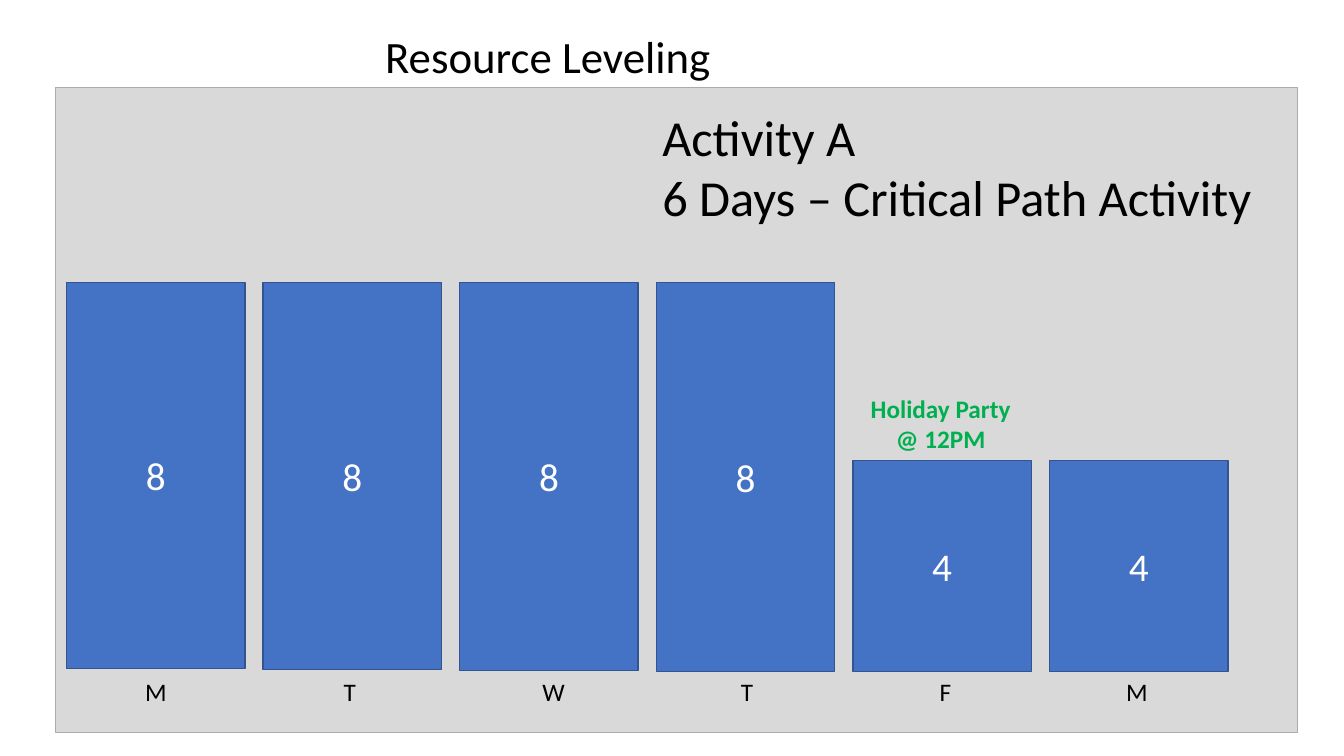
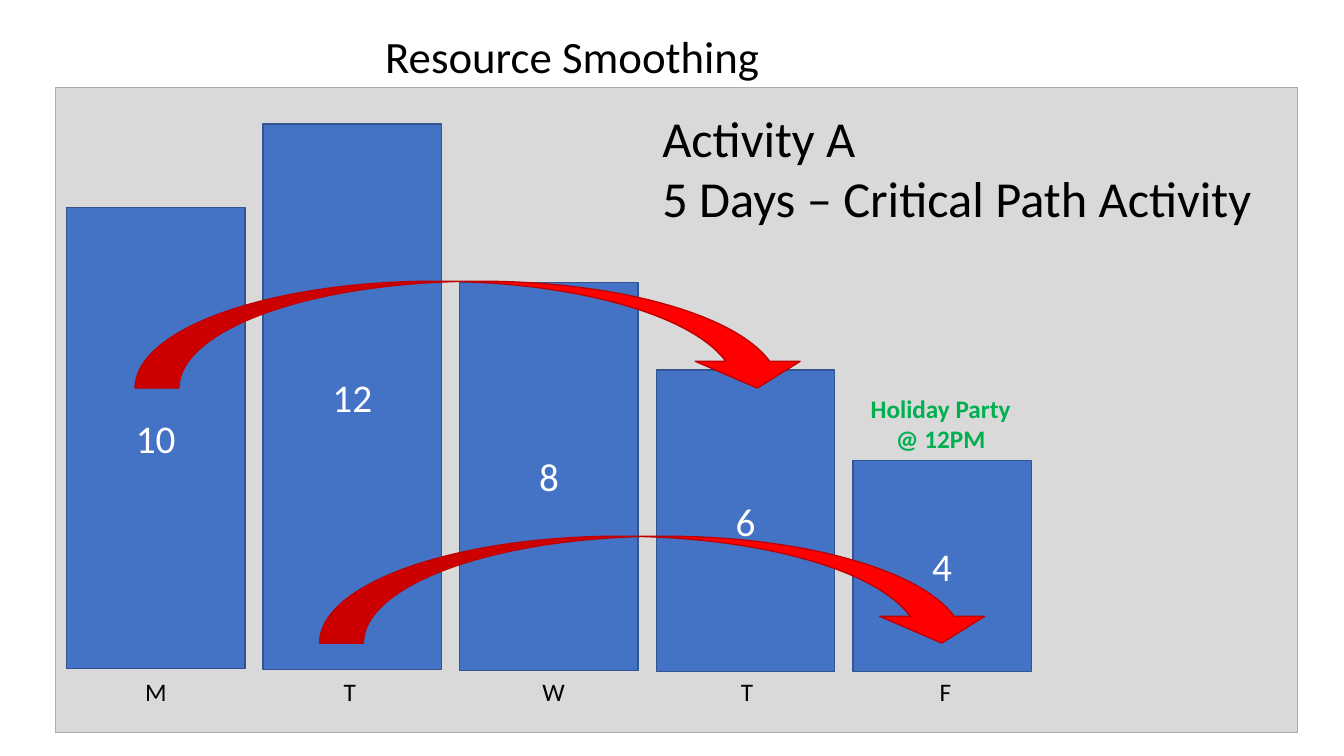
from typing import NamedTuple

from pptx import Presentation
from pptx.dml.color import RGBColor
from pptx.enum.shapes import MSO_SHAPE
from pptx.enum.text import MSO_ANCHOR, MSO_AUTO_SIZE, PP_ALIGN
from pptx.util import Inches, Pt

FONT = "Calibri"
BLACK, WHITE, GREEN = "000000", "FFFFFF", "00B050"
PANEL_FILL, PANEL_LINE = "D9D9D9", "AFABAB"
BAR_FILL, BAR_LINE = "4472C4", "325491"
ARROW_FILL, ARROW_LINE = "FF0000", "C00000"
BAR_TOPS = {12: 0.36, 10: 1.19, 8: 1.93, 6: 2.8, 4: 3.7}


class Box(NamedTuple):
    left: float
    top: float
    width: float
    height: float

    def inside(self, left, top, width, height):
        return Box(self.left + left, self.top + top, width, height)

    def lengths(self):
        return [Inches(value) for value in self]


PANEL = Box(0.55, 0.87, 12.32, 6.4)


def color(hex_string):
    return RGBColor.from_string(hex_string)


def write(shape, text, size, text_color=BLACK, align=PP_ALIGN.LEFT, bold=False):
    shape.text_frame.text = text
    for para in shape.text_frame.paragraphs:
        para.alignment = align
        for span in para.runs:
            span.font.name = FONT
            span.font.size = Pt(size)
            span.font.bold = bold
            span.font.color.rgb = color(text_color)


def add_label(page, box, text, size, wrap=True, **style):
    label = page.shapes.add_textbox(*box.lengths())
    write(label, text, size, **style)
    label.text_frame.word_wrap = wrap
    label.text_frame.auto_size = MSO_AUTO_SIZE.SHAPE_TO_FIT_TEXT


def add_figure(page, kind, box, fill, line):
    figure = page.shapes.add_shape(kind, *box.lengths())
    figure.shadow.inherit = False
    figure.fill.solid()
    figure.fill.fore_color.rgb = color(fill)
    figure.line.color.rgb = color(line)
    figure.line.width = Pt(1)
    return figure


def set_title(page, text, width):
    title = page.shapes.title
    title.left, title.top, title.width, title.height = Box(3.72, 0.23, width, 0.64).lengths()
    write(title, text, 32)
    title.text_frame.word_wrap = False
    title.text_frame.auto_size = MSO_AUTO_SIZE.SHAPE_TO_FIT_TEXT
    title.text_frame.vertical_anchor = MSO_ANCHOR.TOP


def add_bars(page, panel, hours_by_day):
    for index, hours in enumerate(hours_by_day):
        top = BAR_TOPS[hours]
        bottom = min(5.76 + 0.01 * index, 5.79)
        box = panel.inside(0.11 + 1.95 * index, top, 1.77, bottom - top)
        bar = add_figure(page, MSO_SHAPE.RECTANGLE, box, BAR_FILL, BAR_LINE)
        write(bar, str(hours), 28, WHITE, PP_ALIGN.CENTER)
        bar.text_frame.vertical_anchor = MSO_ANCHOR.MIDDLE


def add_days(page, panel, count):
    for index, day in enumerate("MTWTFM"[:count]):
        left = min(0.79 + 1.97 * index, 10.52)
        add_label(page, panel.inside(left, 5.79, 0.42, 0.42), day, 18)


def add_shift_arrow(page, panel, left, top):
    box = panel.inside(left, top, 6.69, 1.06)
    arrow = add_figure(page, MSO_SHAPE.CURVED_DOWN_ARROW, box, ARROW_FILL, ARROW_LINE)
    for index, value in enumerate((0.41, 0.98, 0.25)):
        arrow.adjustments[index] = value


def add_schedule_slide(deck, title, title_width, hours_by_day, activity, activity_top, shifts=()):
    page = deck.slides.add_slide(deck.slide_layouts[5])
    set_title(page, title, title_width)
    add_figure(page, MSO_SHAPE.RECTANGLE, PANEL, PANEL_FILL, PANEL_LINE)
    add_bars(page, PANEL, hours_by_day)
    add_days(page, PANEL, len(hours_by_day))
    add_label(page, PANEL.inside(5.92, activity_top, 6.32, 1.31), activity, 36)
    for left, top in shifts:
        add_shift_arrow(page, PANEL, left, top)
    add_label(page, PANEL.inside(7.98, 2.98, 1.6, 0.71), "Holiday Party\n@ 12PM", 18,
              wrap=False, text_color=GREEN, align=PP_ALIGN.CENTER, bold=True)


def main():
    deck = Presentation()
    deck.slide_width, deck.slide_height = Inches(13.33), Inches(7.5)
    add_schedule_slide(deck, "Resource Leveling", 3.56, [8, 8, 8, 8, 4, 4],
                       "Activity A\n6 Days – Critical Path Activity", 0.13)
    add_schedule_slide(deck, "Resource Smoothing", 3.95, [10, 12, 8, 6, 4],
                       "Activity A\n5 Days – Critical Path Activity", 0.14,
                       shifts=[(0.79, 1.92), (2.62, 4.45)])
    deck.save("out.pptx")


if __name__ == "__main__":
    main()
